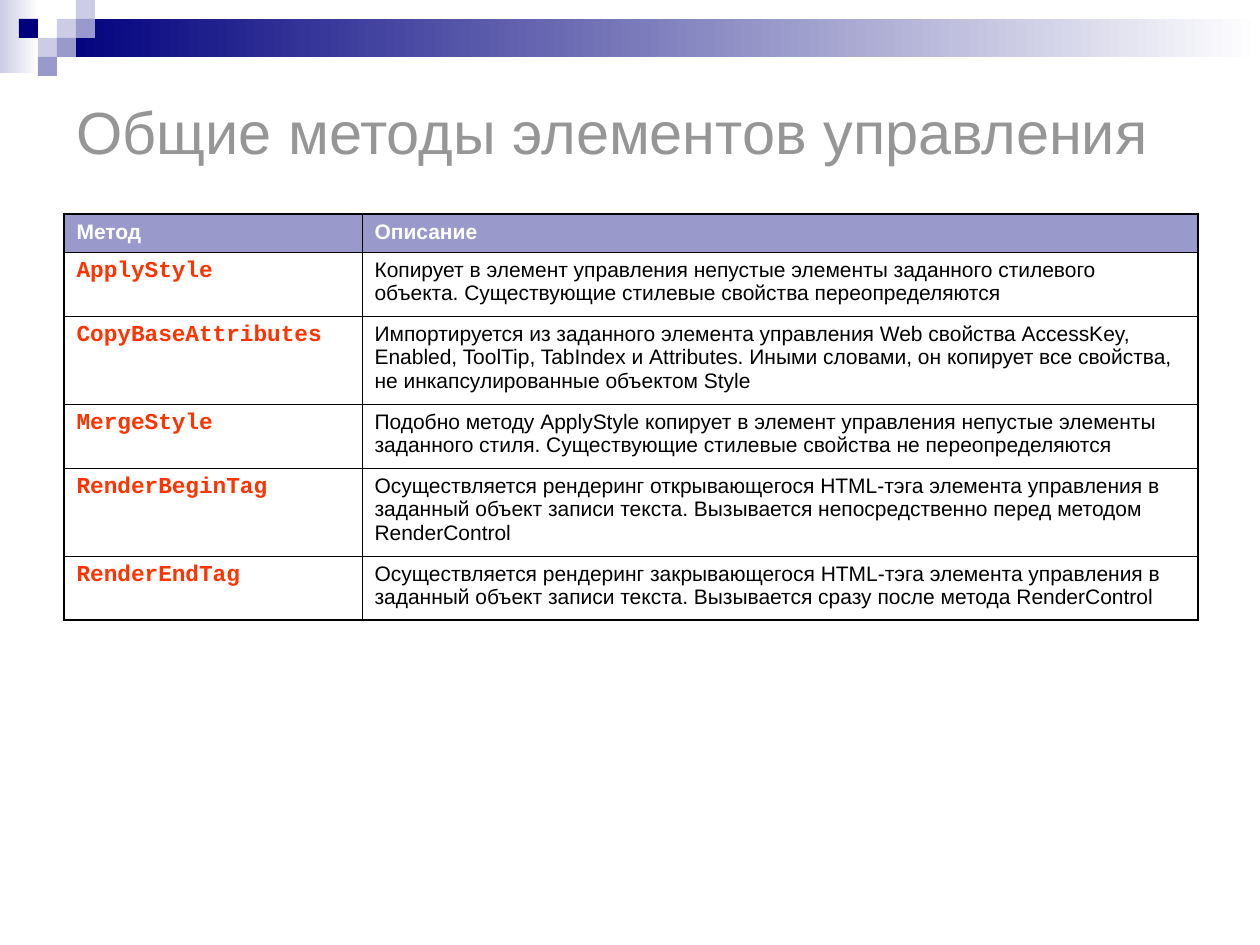
from lxml import etree
from pptx import Presentation
from pptx.dml.color import RGBColor
from pptx.enum.shapes import MSO_SHAPE
from pptx.enum.text import MSO_ANCHOR, PP_ALIGN
from pptx.oxml.ns import qn
from pptx.util import Pt

RECTANGLE = MSO_SHAPE.RECTANGLE
MIDDLE = MSO_ANCHOR.MIDDLE
LEFT = PP_ALIGN.LEFT
EMU_PER_PX = 914400 / 126
TITLE_ONLY_LAYOUT = 5
GRID = 19

COLORS = {
    "navy": "00007D",
    "violet": "9999CC",
    "lilac": "CCCCE6",
    "white": "FFFFFF",
    "black": "000000",
    "gray": "969696",
    "red": "FF3300",
}

TITLE_FORMAT = {"name": "Arial", "size": Pt(34), "bold": False}
HEADER_FORMAT = {"name": "Arial", "size": Pt(12), "bold": True}
METHOD_FORMAT = {"name": "Courier New", "size": Pt(13), "bold": True}
BODY_FORMAT = {"name": "Arial", "size": Pt(12), "bold": False}

SQUARES = [
    (3, 1, "lilac"),
    (4, 0, "lilac"),
    (4, 1, "violet"),
    (2, 2, "lilac"),
    (1, 1, "navy"),
    (3, 2, "violet"),
    (2, 3, "violet"),
]

COLUMN_WIDTHS = [298, 836]
ROW_HEIGHTS = [38, 64, 88, 64, 88, 64]
METHODS = [
    ("Метод", "Описание"),
    ("ApplyStyle", "Копирует в элемент управления непустые элементы заданного стилевого объекта. "
     "Существующие стилевые свойства переопределяются"),
    ("CopyBaseAttributes", "Импортируется из заданного элемента управления Web свойства AccessKey, "
     "Enabled, ToolTip, TabIndex и Attributes. Иными словами, он копирует все свойства, "
     "не инкапсулированные объектом Style"),
    ("MergeStyle", "Подобно методу ApplyStyle копирует в элемент управления непустые элементы "
     "заданного стиля. Существующие стилевые свойства не переопределяются"),
    ("RenderBeginTag", "Осуществляется рендеринг открывающегося HTML-тэга элемента управления в "
     "заданный объект записи текста. Вызывается непосредственно перед методом RenderControl"),
    ("RenderEndTag", "Осуществляется рендеринг закрывающегося HTML-тэга элемента управления в "
     "заданный объект записи текста. Вызывается сразу после метода RenderControl"),
]


def px(value):
    return round(value * EMU_PER_PX)


def rgb(color):
    return RGBColor.from_string(COLORS[color])


def write_text(text_frame, text, font_format, color, space_before=0):
    paragraph = text_frame.paragraphs[0]
    paragraph.alignment = LEFT
    paragraph.space_before = Pt(space_before)
    run = paragraph.add_run()
    run.text = text
    for attribute, value in font_format.items():
        setattr(run.font, attribute, value)
    run.font.color.rgb = rgb(color)


def add_rectangle(slide, left, top, width, height, colors):
    shape = slide.shapes.add_shape(RECTANGLE, px(left), px(top), px(width), px(height))
    shape.shadow.inherit = False
    shape.line.fill.background()
    if len(colors) == 1:
        shape.fill.solid()
        shape.fill.fore_color.rgb = rgb(colors[0])
    else:
        shape.fill.gradient()
        shape.fill.gradient_angle = 0
        for stop, color in zip(shape.fill.gradient_stops, colors):
            stop.color.rgb = rgb(color)


def add_decoration(slide):
    add_rectangle(slide, 0, 0, 39, 73, ["lilac", "white"])
    add_rectangle(slide, 3 * GRID, GRID, 1203, 2 * GRID, ["navy", "white"])
    for column, row, color in SQUARES:
        add_rectangle(slide, column * GRID, row * GRID, GRID, GRID, [color])


def fill_title(slide):
    title = slide.shapes.title
    bounds = {"left": 64, "top": 76, "width": 1134, "height": 110}
    for attribute, value in bounds.items():
        setattr(title, attribute, px(value))
    title.text_frame.word_wrap = True
    title.text_frame.vertical_anchor = MIDDLE
    write_text(title.text_frame, slide_title(), TITLE_FORMAT, "gray")


def slide_title():
    return "Общие методы элементов управления"


def set_borders(cell, outer_edges):
    properties = cell._tc.get_or_add_tcPr()
    for edge, is_outer in outer_edges.items():
        width = Pt(1.08 if is_outer else 0.45)
        line = etree.SubElement(properties, qn(f"a:ln{edge}"), w=str(width))
        fill = etree.SubElement(line, qn("a:solidFill"))
        etree.SubElement(fill, qn("a:srgbClr"), val=COLORS["black"])


def format_cell(cell, text, row, column):
    set_borders(cell, {
        "L": column == 0,
        "R": column == len(COLUMN_WIDTHS) - 1,
        "T": row == 0,
        "B": row == len(ROW_HEIGHTS) - 1,
    })
    if row == 0:
        cell.fill.solid()
        cell.fill.fore_color.rgb = rgb("violet")
        write_text(cell.text_frame, text, HEADER_FORMAT, "white", 3)
    else:
        cell.fill.background()
        if column == 0:
            write_text(cell.text_frame, text, METHOD_FORMAT, "red", 3.3)
        else:
            write_text(cell.text_frame, text, BODY_FORMAT, "black", 3)


def add_method_table(slide):
    table = slide.shapes.add_table(
        len(ROW_HEIGHTS), len(COLUMN_WIDTHS), px(64), px(214),
        px(sum(COLUMN_WIDTHS)), px(sum(ROW_HEIGHTS)),
    ).table
    for column, width in zip(table.columns, COLUMN_WIDTHS):
        column.width = px(width)
    for row, height in zip(table.rows, ROW_HEIGHTS):
        row.height = px(height)
    for row, texts in enumerate(METHODS):
        for column, text in enumerate(texts):
            format_cell(table.cell(row, column), text, row, column)


def main():
    presentation = Presentation()
    presentation.slide_width = px(1260)
    presentation.slide_height = px(945)
    slide = presentation.slides.add_slide(presentation.slide_layouts[TITLE_ONLY_LAYOUT])
    add_decoration(slide)
    add_method_table(slide)
    fill_title(slide)
    presentation.save("out.pptx")


if __name__ == "__main__":
    main()
